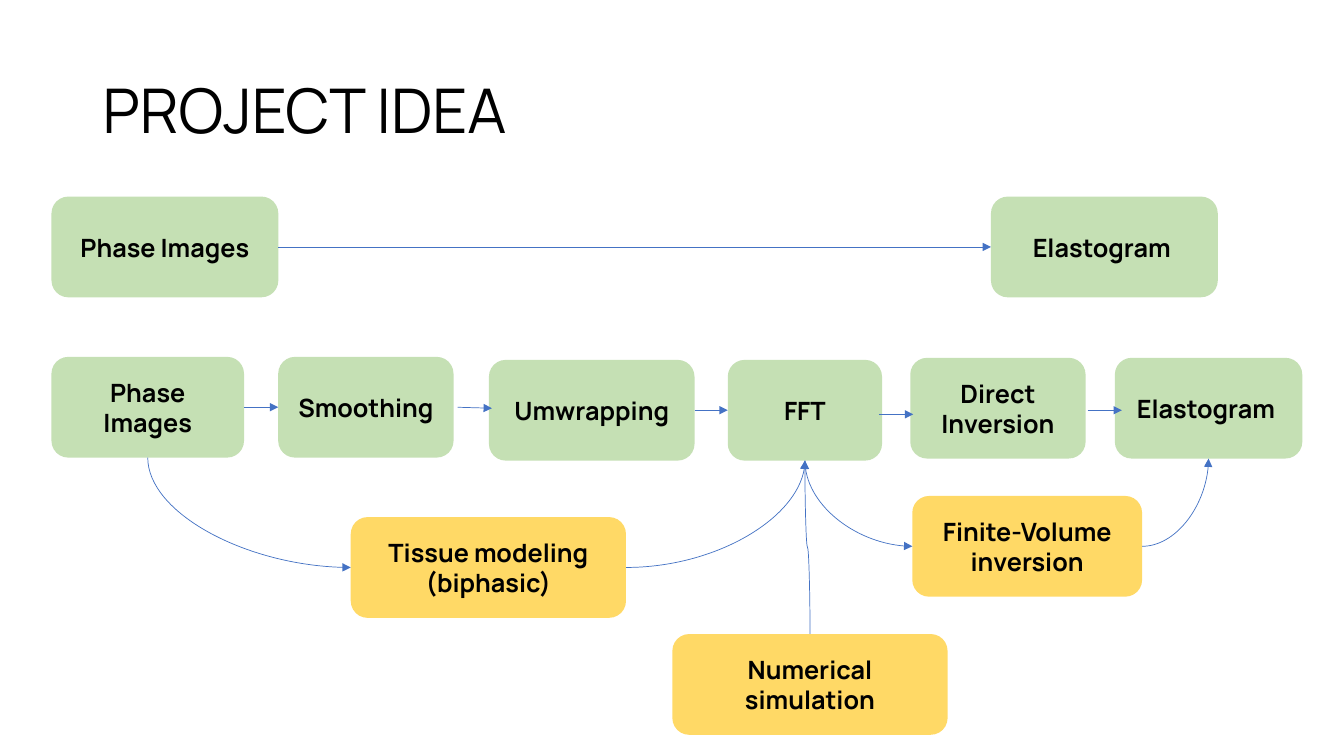
from lxml import etree
from pptx import Presentation
from pptx import util as u
from pptx.dml.color import RGBColor
from pptx.enum import shapes, text
from pptx.oxml.ns import qn

FONT = "Manrope"
GREEN, YELLOW, BLUE, BLACK = "C5E0B4", "FFD966", "4472C4", "000000"
TOP, LEFT, BOTTOM, RIGHT = range(4)

presentation = Presentation()
presentation.slide_width = u.Inches(13.33)
presentation.slide_height = u.Inches(7.5)
slide = presentation.slides.add_slide(presentation.slide_layouts[6])

# Grid of 100 columns by 100 rows
COLUMN = presentation.slide_width / 100
ROW = presentation.slide_height / 100
BOX_ROWS = 13.33


def color(hex_string):
    return RGBColor.from_string(hex_string)


def add_arrow(kind, start, end):
    points = [round(value) for value in (*start, *end)]
    connector = slide.shapes.add_connector(kind, *points)
    connector.line.color.rgb = color(BLUE)
    connector.line.width = u.Pt(0.5)
    properties = connector._element.spPr
    line = properties.find(qn("a:ln"))
    etree.SubElement(line, qn("a:tailEnd"), type="triangle")
    etree.SubElement(properties, qn("a:effectLst"))
    return connector


# Title
title = slide.shapes.add_textbox(
    round(6.9 * COLUMN), round(5.33 * ROW), round(86.25 * COLUMN), round(19.33 * ROW))
title.text_frame.word_wrap = True
title.text_frame.vertical_anchor = text.MSO_ANCHOR.MIDDLE
paragraph = title.text_frame.paragraphs[0]
paragraph.text = "PROJECT IDEA"
paragraph.line_spacing = 0.9
paragraph.font.name = FONT
paragraph.font.size = u.Pt(44)
paragraph.font.color.rgb = color(BLACK)

# Boxes: name, wording, left column, top row, columns wide, fill
box_rows = [
    ("short start", "Phase Images", 3.83, 26, 16.88, GREEN),
    ("short end", "Elastogram ", 73.73, 26, 16.88, GREEN),
    ("phase", "Phase Images", 3.83, 47.2, 14.33, GREEN),
    ("smoothing", "Smoothing", 20.7, 47.2, 13.05, GREEN),
    ("unwrapping", "Umwrapping", 36.38, 47.6, 15.3, GREEN),
    ("fft", "FFT", 54.15, 47.6, 11.48, GREEN),
    ("direct", "Direct Inversion", 67.73, 47.33, 13.05, GREEN),
    ("elastogram", "Elastogram ", 82.95, 47.33, 13.95, GREEN),
    ("tissue", "Tissue modeling (biphasic)", 26.1, 68.4, 20.48, YELLOW),
    ("finite volume", "Finite-Volume inversion", 67.88, 65.6, 17.1, YELLOW),
    ("simulation", "Numerical simulation", 50.03, 83.87, 20.48, YELLOW),
]
boxes = {}
for name, wording, left, top, width, fill in box_rows:
    shape = slide.shapes.add_shape(
        shapes.MSO_SHAPE.ROUNDED_RECTANGLE, round(left * COLUMN), round(top * ROW),
        round(width * COLUMN), round(BOX_ROWS * ROW))
    shape.shadow.inherit = False
    shape.fill.solid()
    shape.fill.fore_color.rgb = color(fill)
    shape.line.fill.background()
    shape.text_frame.vertical_anchor = text.MSO_ANCHOR.MIDDLE
    paragraph = shape.text_frame.paragraphs[0]
    paragraph.text = wording
    paragraph.alignment = text.PP_ALIGN.CENTER
    paragraph.font.name = FONT
    paragraph.font.size = u.Pt(18)
    paragraph.font.bold = True
    paragraph.font.color.rgb = color(BLACK)
    boxes[name] = shape

# Straight arrows joined from right side to left side
for source, target in [("short start", "short end"), ("phase", "smoothing"),
                       ("unwrapping", "fft")]:
    arrow = add_arrow(shapes.MSO_CONNECTOR.STRAIGHT, (0, 0), (0, 0))
    arrow.begin_connect(boxes[source], RIGHT)
    arrow.end_connect(boxes[target], LEFT)

# Straight arrows that stand free between boxes
for x1, y1, x2, y2 in [(34.05, 53.87, 36.6, 54), (65.4, 54.8, 67.95, 54.8),
                       (80.93, 54.27, 83.48, 54.27)]:
    add_arrow(shapes.MSO_CONNECTOR.STRAIGHT,
              (x1 * COLUMN, y1 * ROW), (x2 * COLUMN, y2 * ROW))

# Curved arrows between the middles of box sides
curves = [
    ("phase", BOTTOM, "tissue", LEFT, "curvedConnector2"),
    ("tissue", RIGHT, "fft", BOTTOM, "curvedConnector2"),
    ("fft", BOTTOM, "finite volume", LEFT, "curvedConnector2"),
    ("finite volume", RIGHT, "elastogram", BOTTOM, "curvedConnector2"),
    ("simulation", TOP, "fft", BOTTOM, "curvedConnector3"),
]
for source, source_side, target, target_side, preset in curves:
    ends = []
    for name, side in [(source, source_side), (target, target_side)]:
        box = boxes[name]
        across, down = [(0.5, 0), (0, 0.5), (0.5, 1), (1, 0.5)][side]
        ends.append((box.left + across * box.width, box.top + down * box.height))
    (x1, y1), (x2, y2) = ends
    turned = source_side in (TOP, BOTTOM)
    if turned:
        # A curve that leaves vertically is a frame turned by 270 degrees
        middle_x, middle_y = (x1 + x2) / 2, (y1 + y2) / 2
        half_x, half_y = (x2 - x1) / 2, (y2 - y1) / 2
        x1, x2 = middle_x + half_y, middle_x - half_y
        y1, y2 = middle_y - half_x, middle_y + half_x
    arrow = add_arrow(shapes.MSO_CONNECTOR.CURVE, (x1, y1), (x2, y2))
    properties = arrow._element.spPr
    properties.find(qn("a:prstGeom")).set("prst", preset)
    if turned:
        properties.find(qn("a:xfrm")).set("rot", str(270 * 60000))

presentation.save("out.pptx")
